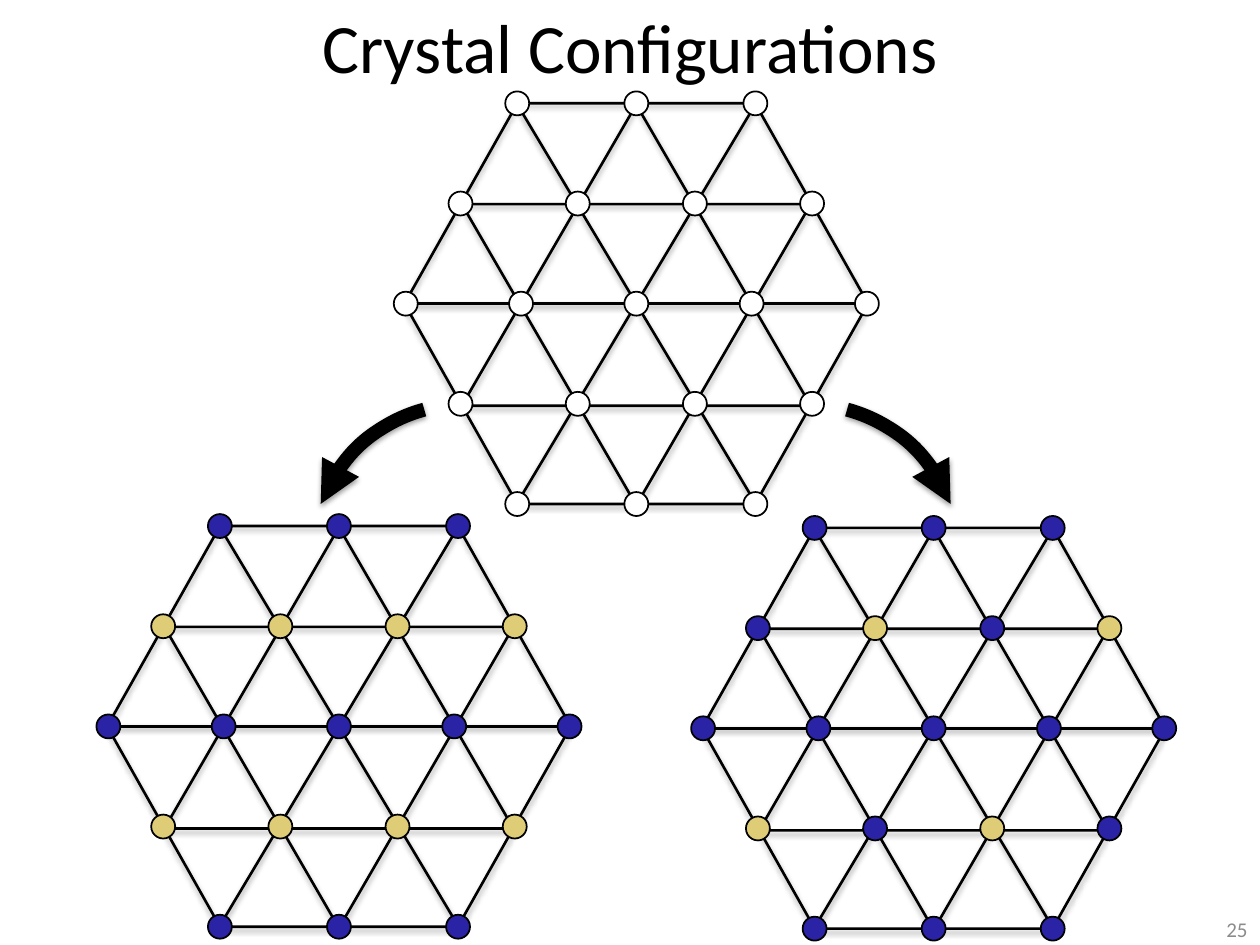
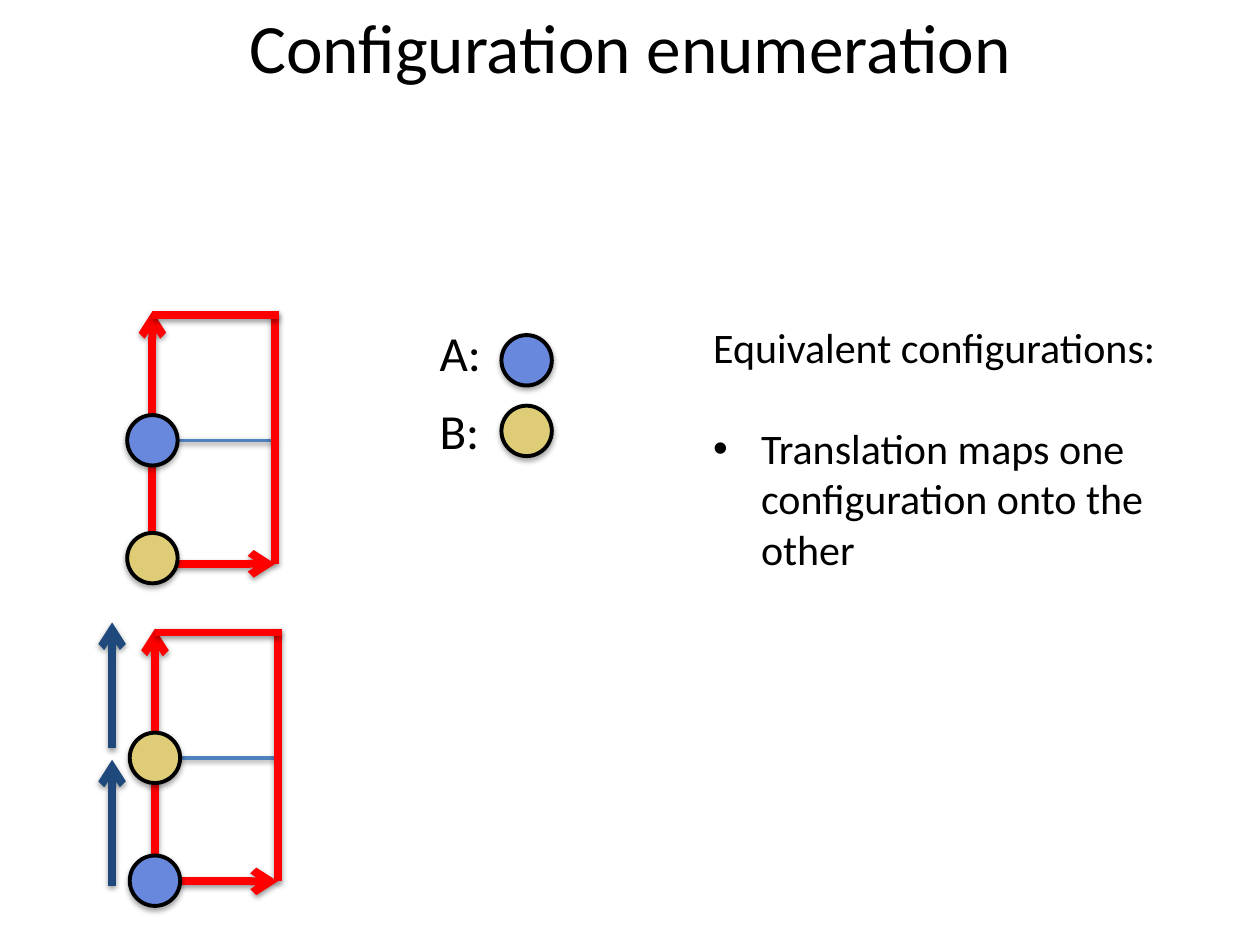
from dataclasses import dataclass
from typing import Optional

from lxml import etree
from pptx import Presentation
from pptx.dml.color import RGBColor
from pptx.enum.shapes import MSO_CONNECTOR, MSO_SHAPE
from pptx.enum.text import MSO_ANCHOR, MSO_AUTO_SIZE, PP_ALIGN
from pptx.oxml.ns import qn
from pptx.util import Inches, Pt

STRAIGHT = MSO_CONNECTOR.STRAIGHT
ARC, HEXAGON, OVAL, TRIANGLE = (
    MSO_SHAPE.ARC, MSO_SHAPE.HEXAGON, MSO_SHAPE.OVAL, MSO_SHAPE.ISOSCELES_TRIANGLE)
CENTER, LEFT, RIGHT = PP_ALIGN.CENTER, PP_ALIGN.LEFT, PP_ALIGN.RIGHT
TOP, MIDDLE = MSO_ANCHOR.TOP, MSO_ANCHOR.MIDDLE
NO_AUTOFIT = MSO_AUTO_SIZE.NONE

BLACK = RGBColor(0x00, 0x00, 0x00)
WHITE = RGBColor(0xFF, 0xFF, 0xFF)
GRAY = RGBColor(0x8C, 0x8C, 0x8C)
NAVY = RGBColor(0x2A, 0x23, 0xA6)
SAND = RGBColor(0xDE, 0xCC, 0x76)
PERIWINKLE = RGBColor(0x68, 0x88, 0xDE)
RED = RGBColor(0xFF, 0x00, 0x00)
STEEL = RGBColor(0x4F, 0x81, 0xBD)
DEEP_BLUE = RGBColor(0x1F, 0x49, 0x7D)

FONT = "Calibri"
COLUMNS, ROWS = 100, 75
SLIDE_WIDTH, SLIDE_HEIGHT = Inches(10), Inches(7.5)
ATOM_COLORS = {"W": WHITE, "N": NAVY, "S": SAND}
LINE_SHADOW, SHAPE_SHADOW = (38, 1.6), (35, 1.8)


@dataclass(frozen=True)
class Box:
    col: float
    row: float
    cols: float
    rows: float

    def emu(self) -> tuple[int, int, int, int]:
        return across(self.col), down(self.row), across(self.cols), down(self.rows)


@dataclass(frozen=True)
class Stroke:
    color: RGBColor
    points: float
    head: Optional[str] = None
    tail: Optional[str] = None


@dataclass(frozen=True)
class Lattice:
    col: float
    row: float
    atoms: tuple[str, ...]


@dataclass(frozen=True)
class UnitCell:
    col: float
    row: float
    middle: RGBColor
    corner: RGBColor
    corner_drop: float


BOND = Stroke(BLACK, 1.5)
ATOM_EDGE = Stroke(BLACK, 1)
SITE_EDGE = Stroke(BLACK, 2.25)
BEND = Stroke(BLACK, 8, tail="triangle")
CELL_SIDE = Stroke(RED, 4.5)
CELL_VECTOR = Stroke(RED, 4.5, head="arrow")
SHIFT_VECTOR = Stroke(DEEP_BLUE, 4.5, head="arrow")
DIVIDER = Stroke(STEEL, 2)

LATTICES = (
    Lattice(50.5, 24.1, ("WWW", "WWWW", "WWWWW", "WWWW", "WWW")),
    Lattice(74.1, 57.8, ("NNN", "NSNS", "NNNNN", "SNSN", "NNN")),
    Lattice(26.9, 57.65, ("NNN", "SSSS", "NNNNN", "SSSS", "NNN")),
)
CELLS = (
    UnitCell(12.1, 25, PERIWINKLE, SAND, 19.3),
    UnitCell(12.3, 50.2, SAND, PERIWINKLE, 19.7),
)


def across(columns: float) -> int:
    return round(SLIDE_WIDTH * columns / COLUMNS)


def down(rows: float) -> int:
    return round(SLIDE_HEIGHT * rows / ROWS)


def apply_stroke(item, stroke: Stroke) -> None:
    item.line.color.rgb = stroke.color
    item.line.width = Pt(stroke.points)
    outline = item._element.spPr.find(qn("a:ln"))
    for tag, kind in (("a:headEnd", stroke.head), ("a:tailEnd", stroke.tail)):
        if kind:
            etree.SubElement(outline, qn(tag), type=kind)


def apply_shadow(item, opacity: int, distance: float) -> None:
    properties = item._element.spPr
    effects = properties.find(qn("a:effectLst"))
    if effects is None:
        effects = etree.SubElement(properties, qn("a:effectLst"))
    shadow = etree.SubElement(
        effects, qn("a:outerShdw"), blurRad=str(Pt(3.1)), dist=str(Pt(distance)),
        dir="5400000", rotWithShape="0")
    tint = etree.SubElement(shadow, qn("a:srgbClr"), val=str(BLACK))
    etree.SubElement(tint, qn("a:alpha"), val=str(opacity * 1000))


def add_line(shapes, start: tuple[float, float], end: tuple[float, float],
             stroke: Stroke) -> None:
    line = shapes.add_connector(
        STRAIGHT, across(start[0]), down(start[1]), across(end[0]), down(end[1]))
    apply_stroke(line, stroke)
    apply_shadow(line, *LINE_SHADOW)


def add_figure(shapes, preset, box: Box, stroke: Stroke,
               fill: Optional[RGBColor] = None, shadow=SHAPE_SHADOW,
               flip: Optional[str] = None, adjustments: tuple[float, ...] = ()) -> None:
    figure = shapes.add_shape(preset, *box.emu())
    for index, value in enumerate(adjustments):
        figure.adjustments[index] = value
    if fill is None:
        figure.fill.background()
    else:
        figure.fill.solid()
        figure.fill.fore_color.rgb = fill
    apply_stroke(figure, stroke)
    figure.shadow.inherit = False
    if shadow:
        apply_shadow(figure, *shadow)
    if flip:
        figure._element.spPr.find(qn("a:xfrm")).set(flip, "1")


def add_disc(shapes, col: float, row: float, size: float, fill: RGBColor,
             stroke: Stroke, shadow=SHAPE_SHADOW) -> None:
    box = Box(col - size / 2, row - size / 2, size, size)
    add_figure(shapes, OVAL, box, stroke, fill, shadow)


def write(paragraph, text: str, size: float, color: RGBColor = BLACK,
          align=LEFT) -> None:
    paragraph.alignment = align
    run = paragraph.add_run()
    run.text = text
    run.font.name, run.font.size, run.font.color.rgb = FONT, Pt(size), color


def place(placeholder, box: Box, anchor):
    placeholder.left, placeholder.top, placeholder.width, placeholder.height = box.emu()
    frame = placeholder.text_frame
    frame.word_wrap, frame.auto_size = True, NO_AUTOFIT
    frame.vertical_anchor = anchor
    return frame


def add_title(slide, text: str, margin: float) -> None:
    frame = place(slide.shapes.title, Box(margin, 0.2, COLUMNS - 2 * margin, 6.9), MIDDLE)
    write(frame.paragraphs[0], text, 39.6, align=CENTER)


def add_label(slide, text: str, box: Box, size: float, color: RGBColor = BLACK,
              align=LEFT, anchor=TOP, wrap: bool = False) -> None:
    frame = slide.shapes.add_textbox(*box.emu()).text_frame
    frame.word_wrap, frame.vertical_anchor = wrap, anchor
    write(frame.paragraphs[0], text, size, color, align)


def add_lattice(slide, lattice: Lattice) -> None:
    shapes = slide.shapes.add_group_shape().shapes
    col, row = lattice.col, lattice.row
    for side in (-1, 1):
        add_line(shapes, (col + side * 9.5, row - 15.9),
                 (col - side * 9.5, row + 15.9), BOND)
    add_line(shapes, (col - 18.4, row), (col + 18.4, row), BOND)
    add_figure(shapes, HEXAGON, Box(col - 18.4, row - 15.9, 36.8, 31.8), BOND,
               adjustments=(0.282, 1.155))
    for rise, flip in ((15.8, None), (7.9, "flipV")):
        add_figure(shapes, TRIANGLE, Box(col - 13.85, row - rise, 27.7, 23.9),
                   BOND, flip=flip)
    for tier, atoms in enumerate(lattice.atoms):
        from_middle = tier - 2
        pitch = 9.15 + 0.15 * abs(from_middle)
        for index, atom in enumerate(atoms):
            add_disc(shapes, col + (index - (len(atoms) - 1) / 2) * pitch,
                     row + from_middle * 7.95, 1.9, ATOM_COLORS[atom], ATOM_EDGE, None)


def add_unit_cell(slide, cell: UnitCell) -> None:
    shapes = slide.shapes
    left, top = cell.col, cell.row
    right, middle, bottom = left + 9.75, top + 9.95, top + 19.75
    add_line(shapes, (right, middle), (left, middle), DIVIDER)
    for side, stroke in ((left, CELL_VECTOR), (right, CELL_SIDE)):
        add_line(shapes, (side, top - 0.3), (side, bottom), stroke)
    add_line(shapes, (right, bottom), (left - 0.2, bottom), CELL_VECTOR)
    add_line(shapes, (left, top), (right + 0.3, top), CELL_SIDE)
    add_disc(shapes, left, top + cell.corner_drop, 4, cell.corner, SITE_EDGE)
    add_disc(shapes, left, middle, 4, cell.middle, SITE_EDGE)


def build_crystals(prs) -> None:
    slide = prs.slides.add_slide(prs.slide_layouts[5])
    add_title(slide, "Crystal Configurations", 0)
    add_label(slide, "25", Box(79.2, 72.5, 20.8, 2.5), 12, GRAY, RIGHT, MIDDLE, True)
    for lattice in LATTICES:
        add_lattice(slide, lattice)
    for col, flip in ((52, None), (24.7, "flipH")):
        add_figure(slide.shapes, ARC, Box(col, 32.1, 24.2, 24.2), BEND,
                   shadow=LINE_SHADOW, flip=flip, adjustments=(170.98, 203.8))


def build_enumeration(prs) -> None:
    slide = prs.slides.add_slide(prs.slide_layouts[1])
    add_title(slide, "Configuration enumeration", 5)
    for cell in CELLS:
        add_unit_cell(slide, cell)
    for tip in (60.3, 49.4):
        add_line(slide.shapes, (8.9, tip), (8.9, tip + 10), SHIFT_VECTOR)
    for text, text_row, disc_row, color in (
            ("A:", 25.1, 28.6, PERIWINKLE), ("B:", 31.3, 34.2, SAND)):
        add_label(slide, text, Box(33.9, text_row, 5.3, 5.7), 28)
        add_disc(slide.shapes, 41.8, disc_row, 4, color, SITE_EDGE)

    frame = place(slide.placeholders[1], Box(55.6, 25, 38.2, 21.2), TOP)
    points = (("Equivalent configurations:", None, 0),
              ("Translation maps one configuration onto the other", "•", 29))
    for index, (text, bullet, gap) in enumerate(points):
        paragraph = frame.add_paragraph() if index else frame.paragraphs[0]
        paragraph.space_before = Pt(gap)
        properties = paragraph._p.get_or_add_pPr()
        indent = Inches(0.38) if bullet else 0
        properties.set("marL", str(indent))
        properties.set("indent", str(-indent))
        if bullet:
            etree.SubElement(properties, qn("a:buFont"), typeface="Arial")
            etree.SubElement(properties, qn("a:buChar"), char=bullet)
        else:
            etree.SubElement(properties, qn("a:buNone"))
        write(paragraph, text, 24)


def main() -> None:
    prs = Presentation()
    prs.slide_width, prs.slide_height = SLIDE_WIDTH, SLIDE_HEIGHT
    build_crystals(prs)
    build_enumeration(prs)
    prs.save("out.pptx")


if __name__ == "__main__":
    main()
